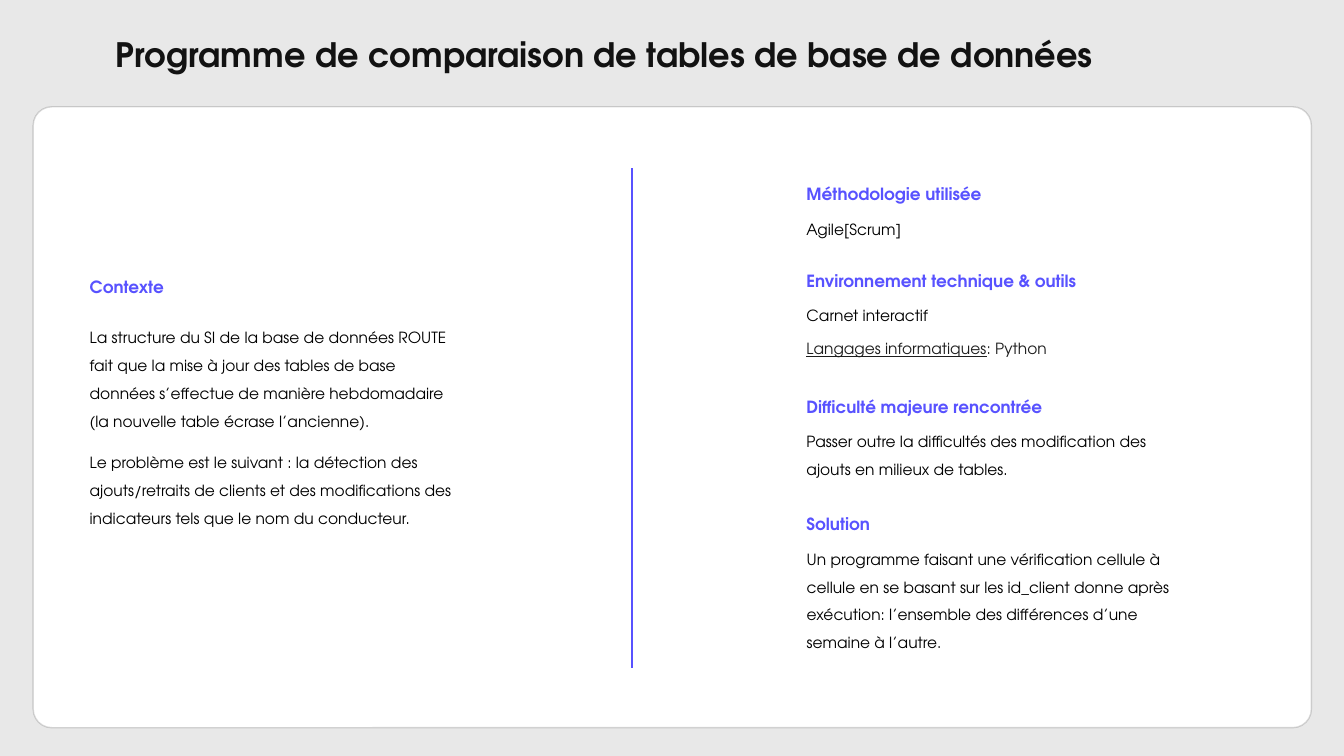
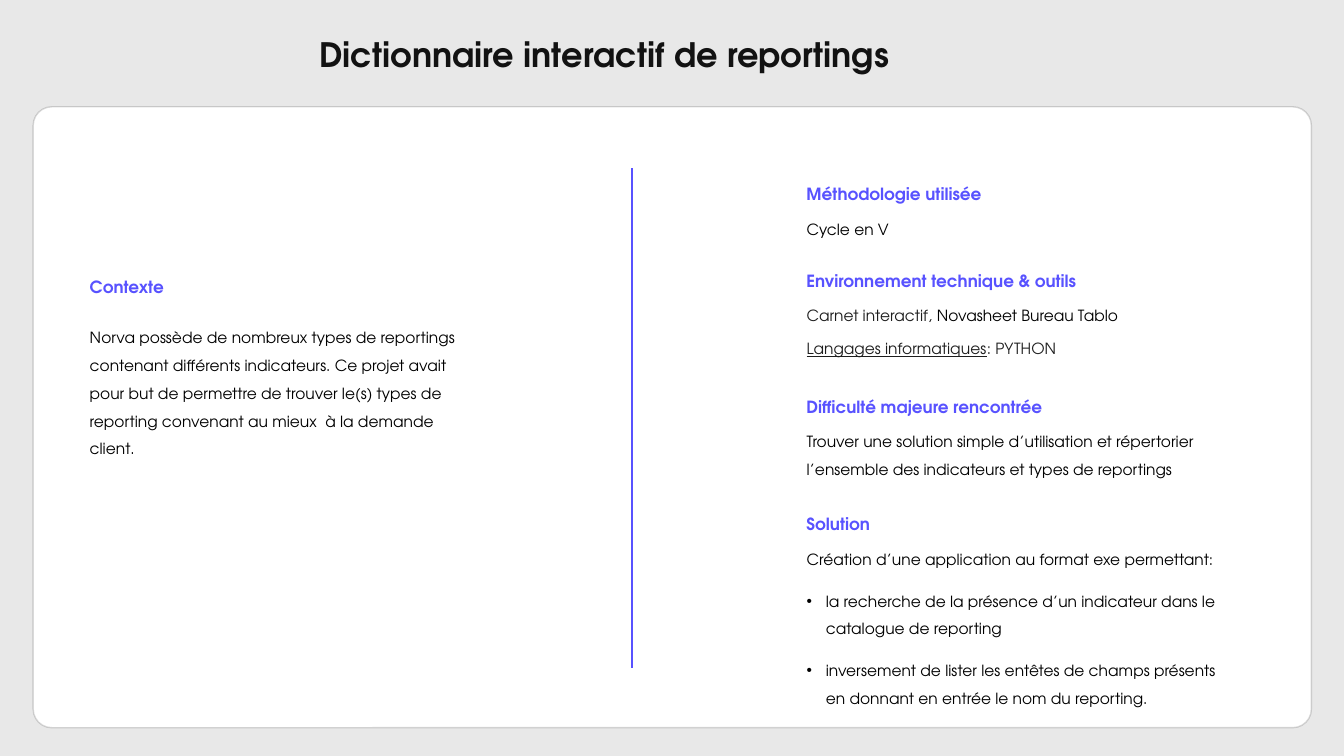
"""Build two project sheets sharing one card layout."""
from lxml.etree import SubElement
from pptx import Presentation
from pptx.dml.color import RGBColor
from pptx.enum.shapes import MSO_CONNECTOR, MSO_SHAPE
from pptx.enum.text import MSO_ANCHOR, MSO_AUTO_SIZE, PP_ALIGN
from pptx.oxml.ns import qn
from pptx.util import Pt

COLORS = {
    "background": "E8E8E8",
    "card": "FFFFFF",
    "title": "121212",
    "accent": "5852FF",
    "text": "000000",
    "soft": "1D1D1D",
}
FONT = "TeX Gyre Adventor"
LEFT_COLUMN, RIGHT_COLUMN = 57, 569
COLUMN_WIDTH = 282
BULLET_INDENT = 13.7


def color(name):
    return RGBColor.from_string(COLORS[name])


def paragraph(*runs, spacing=1.5, bullet=False):
    return {"runs": runs, "spacing": spacing, "bullet": bullet}


class Sheet:
    def __init__(self):
        self.deck = Presentation()
        self.deck.slide_width, self.deck.slide_height = Pt(960), Pt(540)
        fill = self.deck.slide_master.background.fill
        fill.solid()
        fill.fore_color.rgb = color("background")
        self.page = None

    def add_page(self, title):
        self.page = self.deck.slides.add_slide(self.deck.slide_layouts[1])
        self.add_card()
        self.add_divider()
        self.add_title(title)

    def add_card(self):
        card = self.page.shapes.add_shape(
            MSO_SHAPE.ROUNDED_RECTANGLE, Pt(23.7), Pt(76.3), Pt(913), Pt(443.5))
        card.adjustments[0] = 0.03
        card.shadow.inherit = False
        card.fill.solid()
        card.fill.fore_color.rgb = color("card")
        card.line.color.rgb = color("text")
        card.line.width = Pt(1)
        outline = card._element.spPr.find(qn("a:ln"))
        tint = next(outline.iter(qn("a:srgbClr")))
        SubElement(tint, qn("a:alpha")).set("val", "15000")
        self.page.shapes._spTree.insert(2, card._element)

    def add_divider(self):
        divider = self.page.shapes.add_connector(
            MSO_CONNECTOR.STRAIGHT, Pt(451.4), Pt(476.8), Pt(451.4), Pt(120.2))
        divider.line.color.rgb = color("accent")
        divider.line.width = Pt(1.5)
        SubElement(divider._element.spPr, qn("a:effectLst"))

    def add_title(self, text):
        title = self.page.shapes.title
        self.place(title, 0, 23.8, 863, 28)
        para = title.text_frame.paragraphs[0]
        para.alignment = PP_ALIGN.CENTER
        para.line_spacing = 0.9
        self.add_span(para, text, 24, "title", bold=True)

    def add_heading(self, text, left, top):
        box = self.page.shapes.add_textbox(0, 0, 0, 0)
        self.place(box, left, top, COLUMN_WIDTH, 21.6)
        para = box.text_frame.paragraphs[0]
        para.line_spacing = 0.9
        self.add_span(para, text, 12, "accent", bold=True)

    def add_text(self, content, left, top, width, height):
        box = self.page.shapes.add_textbox(0, 0, 0, 0)
        self.fill_text(box, content, left, top, width, height)

    def add_list(self, content, left, top, width, height):
        box = self.page.placeholders[1]
        self.fill_text(box, content, left, top, width, height)

    def fill_text(self, box, content, left, top, width, height):
        self.place(box, left, top, width, height)
        frame = box.text_frame
        for index, item in enumerate(content):
            para = frame.add_paragraph() if index else frame.paragraphs[0]
            para.line_spacing = item["spacing"]
            para.space_before = Pt(10)
            self.set_bullet(para, item["bullet"])
            for text, tone, underline in item["runs"]:
                self.add_span(para, text, 11, tone, underline=underline)

    def set_bullet(self, para, bullet):
        properties = para._p.get_or_add_pPr()
        indent = Pt(BULLET_INDENT) if bullet else 0
        properties.set("marL", str(indent))
        properties.set("indent", str(-indent))
        if bullet:
            SubElement(properties, qn("a:buChar")).set("char", "•")
        else:
            SubElement(properties, qn("a:buNone"))

    def place(self, box, left, top, width, height):
        box.left, box.top = Pt(left), Pt(top)
        box.width, box.height = Pt(width), Pt(height)
        frame = box.text_frame
        frame.word_wrap = True
        frame.auto_size = MSO_AUTO_SIZE.NONE
        frame.vertical_anchor = MSO_ANCHOR.TOP

    def add_span(self, para, text, size, tone, bold=False, underline=False):
        span = para.add_run()
        span.text = text
        span.font.name = FONT
        span.font.size = Pt(size)
        span.font.bold = bold
        span.font.underline = underline
        span.font.color.rgb = color(tone)


def plain(text, bullet=False):
    return paragraph((text, "text", False), bullet=bullet)


def languages(text):
    return paragraph(("Langages informatiques", "soft", True),
                     (": " + text, "soft", False), spacing=1.0)


PROJECTS = [
    {
        "title": "Programme de comparaison de tables de base de données",
        "context": [
            plain("La structure du SI de la base de données ROUTE fait que la mise à jour "
                  "des tables de base données s’effectue de manière hebdomadaire "
                  "(la nouvelle table écrase l’ancienne)."),
            plain("Le problème est le suivant : la détection des ajouts/retraits de clients "
                  "et des modifications des indicateurs tels que le nom du conducteur."),
        ],
        "method": [plain("Agile[Scrum]")],
        "tools": [plain("Carnet interactif"), languages("Python")],
        "difficulty": [plain("Passer outre la difficultés des modification des ajouts "
                             "en milieux de tables.")],
        "solution": [plain("Un programme faisant une vérification cellule à cellule en se "
                           "basant sur les id_client donne après exécution: l’ensemble "
                           "des différences d’une semaine à l’autre.")],
        "width": COLUMN_WIDTH,
    },
    {
        "title": "Dictionnaire interactif de reportings",
        "context": [
            plain("Norva possède de nombreux types de reportings contenant différents "
                  "indicateurs. Ce projet avait pour but de permettre de trouver le(s) types "
                  "de reporting convenant au mieux  à la demande client."),
        ],
        "method": [plain("Cycle en V")],
        "tools": [
            paragraph(("Carnet interactif,", "soft", False),
                      (" Novasheet Bureau Tablo", "text", False)),
            languages("PYTHON"),
        ],
        "difficulty": [plain("Trouver une solution simple d’utilisation et répertorier "
                             "l’ensemble des indicateurs et types de reportings")],
        "solution": [
            plain("Création d’une application au format exe permettant:"),
            plain("la recherche de la présence d’un indicateur dans le catalogue "
                  "de reporting", bullet=True),
            plain("inversement de lister les entêtes de champs présents en donnant "
                  "en entrée le nom du reporting.", bullet=True),
        ],
        "width": 320,
    },
]

SECTIONS = [
    ("method", "Méthodologie utilisée", 129.6, 147, 36.7),
    ("tools", "Environnement technique & outils", 191.4, 208.7, 46.8),
    ("difficulty", "Difficulté majeure rencontrée", 281.5, 298.7, 46.8),
    ("solution", "Solution", 365, 382.6, 126.7),
]


def main():
    sheet = Sheet()
    for project in PROJECTS:
        sheet.add_page(project["title"])
        sheet.add_heading("Contexte", LEFT_COLUMN, 195.8)
        sheet.add_text(project["context"], LEFT_COLUMN, 224.6, COLUMN_WIDTH, 163)
        for key, heading, heading_top, text_top, height in SECTIONS:
            sheet.add_heading(heading, RIGHT_COLUMN, heading_top)
            add = sheet.add_list if key == "solution" else sheet.add_text
            add(project[key], RIGHT_COLUMN, text_top, project["width"], height)
    sheet.deck.save("out.pptx")


if __name__ == "__main__":
    main()
